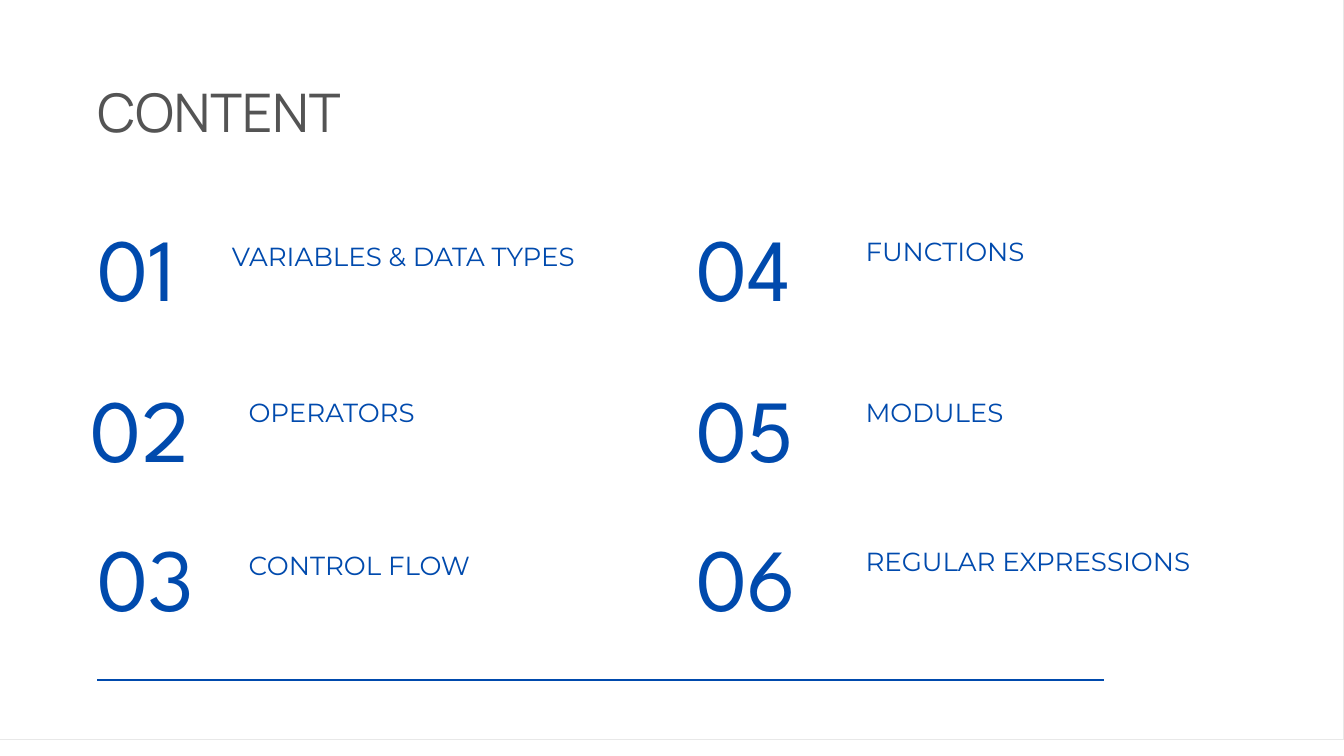
from lxml import etree
from pptx import Presentation
from pptx.dml.color import RGBColor
from pptx.enum.shapes import MSO_CONNECTOR
from pptx.enum.text import MSO_AUTO_SIZE
from pptx.oxml.ns import qn
from pptx.util import Inches, Pt

STRAIGHT = MSO_CONNECTOR.STRAIGHT
FIT_SHAPE = MSO_AUTO_SIZE.SHAPE_TO_FIT_TEXT

WIDTH, HEIGHT = 20, 11.25
BORDER = 0.05
BLUE, GREY, DARK = "004AAD", "545454", "494949"

ROW_TOPS = [3.17, 5.57, 7.78]
NUMBER_SIZE = (2.98, 1.56)
TOPIC_SIZE = (5.3, 0.45)

# Each topic: number left, topic left, topic top, wording
LEFT_TOPICS = [
    (1.45, 3.45, 3.57, "VARIABLES & DATA TYPES"),
    (1.35, 3.7, 5.9, "OPERATORS"),
    (1.45, 3.7, 8.17, "CONTROL FLOW"),
]
RIGHT_TOPICS = [
    (10.36, 12.88, 3.5, "FUNCTIONS"),
    (10.36, 12.88, 5.9, "MODULES"),
    (10.36, 12.88, 8.11, "REGULAR EXPRESSIONS"),
]


def rgb(value):
    return RGBColor.from_string(value)


def add_text(s, text, box, *, font, size, color, spacing):
    tb = s.shapes.add_textbox(*map(Inches, box))
    tf = tb.text_frame
    tf.word_wrap = True
    tf.auto_size = FIT_SHAPE
    tf.margin_left = tf.margin_top = tf.margin_right = tf.margin_bottom = 0
    p = tf.paragraphs[0]
    p.line_spacing = Pt(spacing)
    r = p.add_run()
    r.text = text
    r.font.name = font
    r.font.size = Pt(size)
    r.font.color.rgb = rgb(color)


def add_frame(s, box, border):
    x, y, w, h = box
    right, bottom = x + w, y + h
    fb = s.shapes.build_freeform(x, y, scale=Inches(1))
    fb.add_line_segments([(x, bottom), (right, bottom), (right, y)])
    # The inner outline runs the other way, which leaves a hole
    x, y, right, bottom = x + border, y + border, right - border, bottom - border
    fb.move_to(right, bottom)
    fb.add_line_segments([(x, bottom), (x, y), (right, y)])
    frame = fb.convert_to_shape()
    frame.shadow.inherit = False
    frame.fill.solid()
    frame.fill.fore_color.rgb = rgb(DARK)
    frame.line.fill.background()


def add_rule(s, left, top, width):
    rule = s.shapes.add_connector(
        STRAIGHT, Inches(left), Inches(top), Inches(left + width), Inches(top))
    rule.line.color.rgb = rgb(BLUE)
    rule.line.width = Pt(1.5)
    etree.SubElement(rule._element.spPr, qn("a:effectLst"))


def add_topics(s, topics, first):
    rows = zip(ROW_TOPS, topics)
    for number, (top, (number_left, left, topic_top, topic)) in enumerate(rows, first):
        add_text(s, f"{number:02}", (number_left, top, *NUMBER_SIZE),
                 font="League Spartan", size=95, color=BLUE, spacing=114)
        add_text(s, topic, (left, topic_top, *TOPIC_SIZE),
                 font="Montserrat", size=28, color=BLUE, spacing=33.6)


def build_content_slide(prs):
    s = prs.slides.add_slide(prs.slide_layouts[6])
    # Border and bottom rule
    add_frame(s, (0, 0, WIDTH, HEIGHT), BORDER)
    add_rule(s, 1.45, 10.12, 14.98)
    # Title
    add_text(s, "CONTENT", (1.45, 1.29, 3.81, 0.93),
             font="Manrope", size=57, color=GREY, spacing=60.4)
    # Two columns of numbered topics
    add_topics(s, LEFT_TOPICS, first=1)
    add_topics(s, RIGHT_TOPICS, first=4)


def main():
    prs = Presentation()
    prs.slide_width, prs.slide_height = Inches(WIDTH), Inches(HEIGHT)
    build_content_slide(prs)
    prs.save("out.pptx")


if __name__ == "__main__":
    main()
